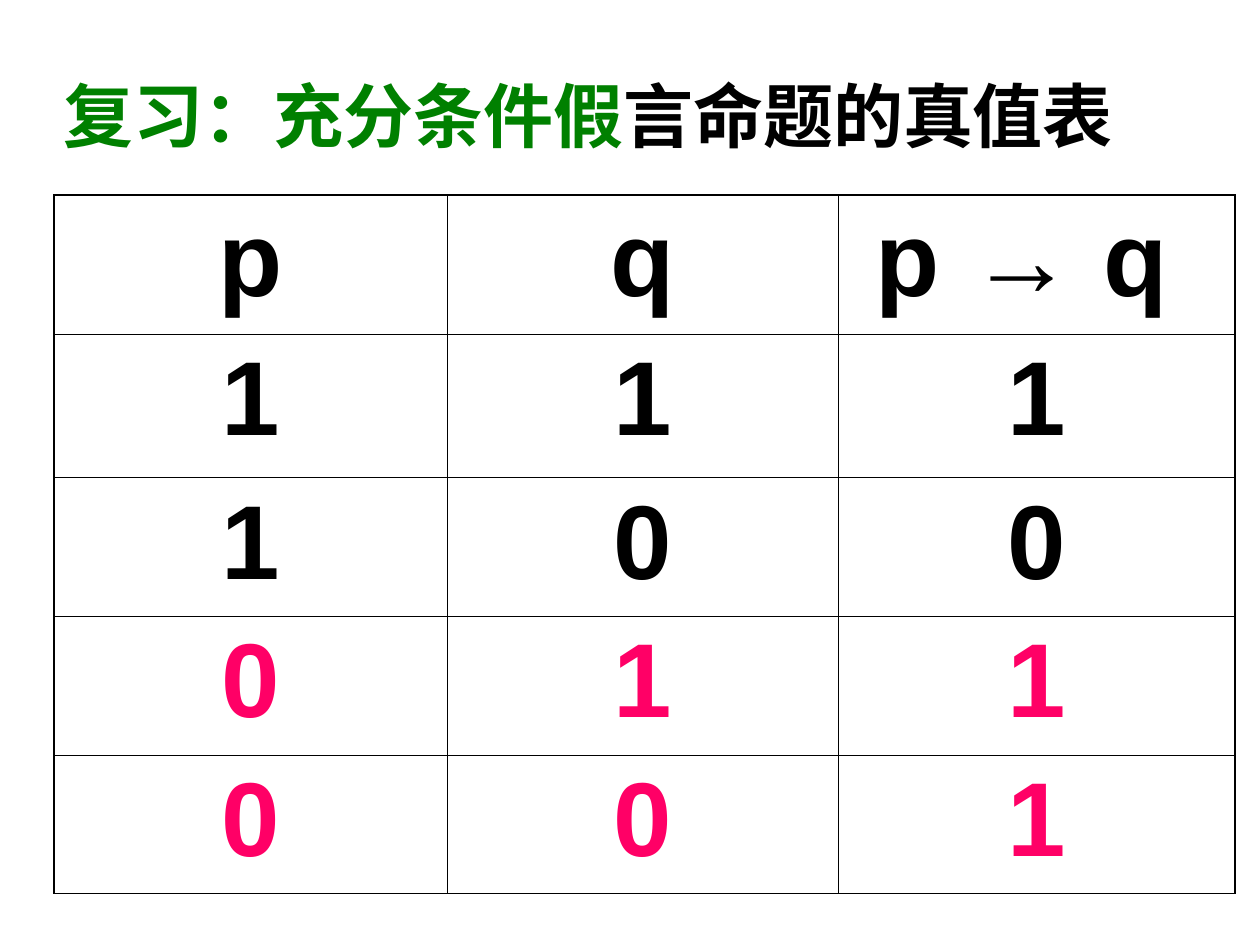
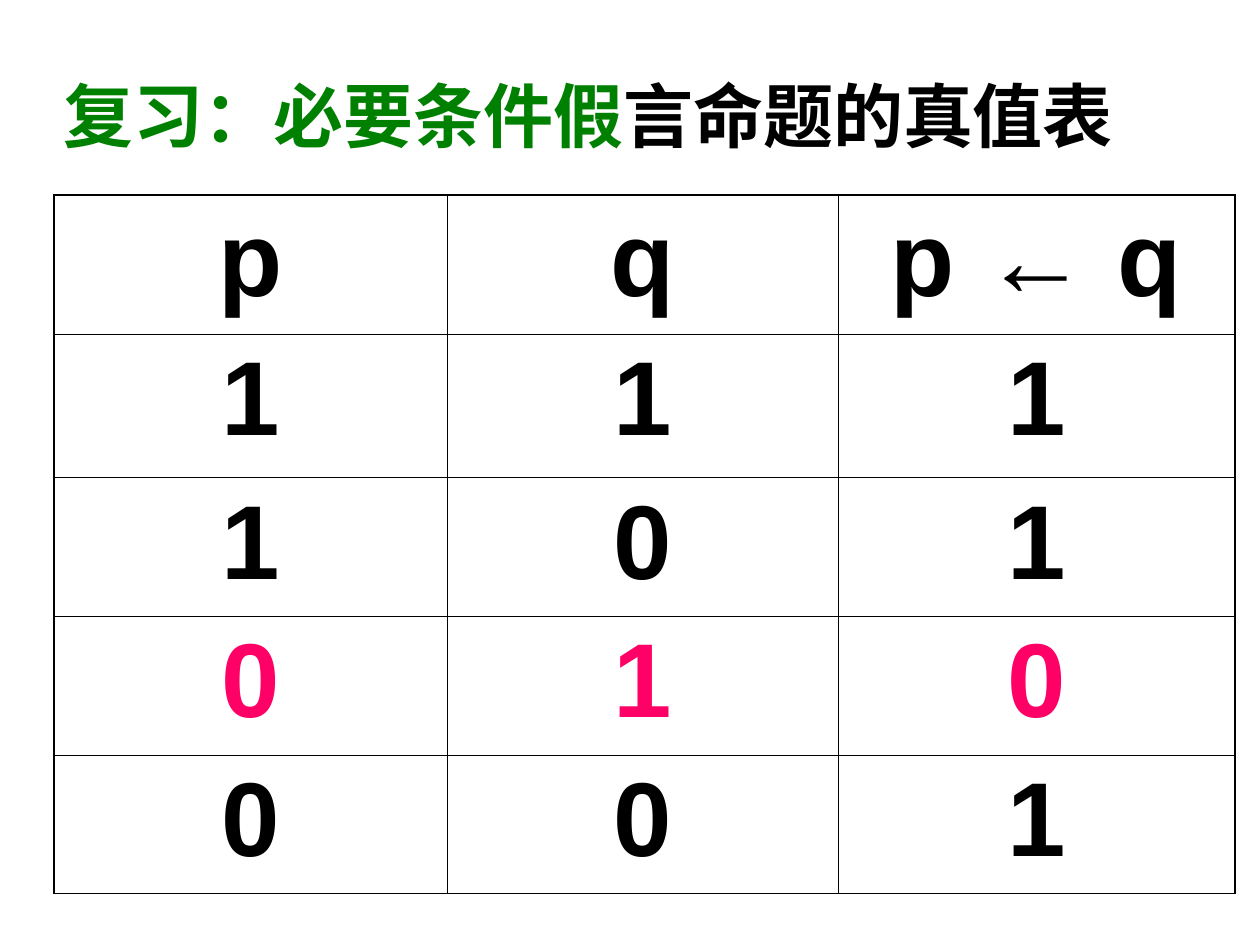
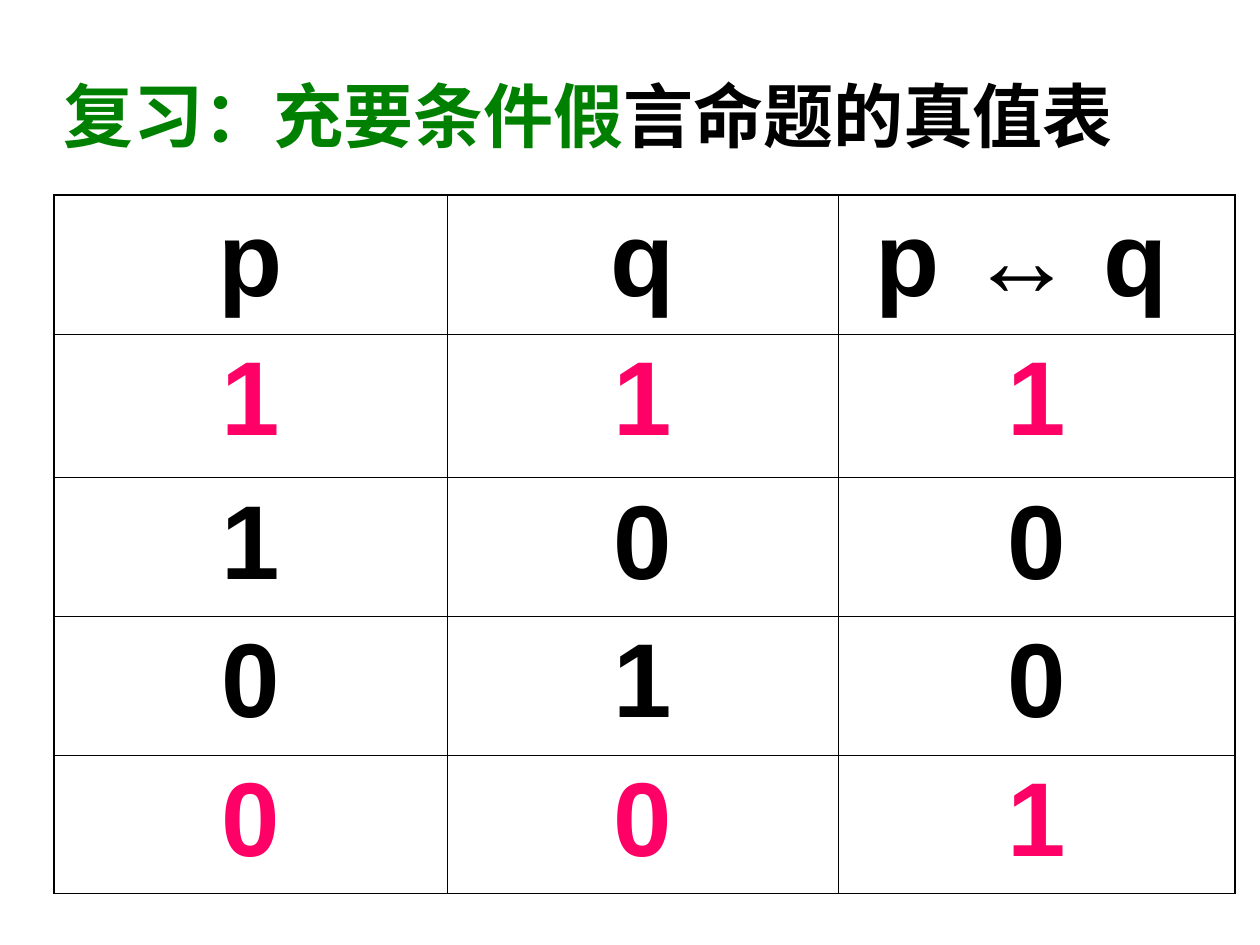
"""Build three review slides with truth tables of conditional propositions."""
from itertools import product

from lxml import etree
from pptx import Presentation
from pptx.dml.color import RGBColor
from pptx.enum.text import MSO_ANCHOR, PP_ALIGN
from pptx.oxml.ns import qn
from pptx.util import Inches, Pt

CENTER = PP_ALIGN.CENTER
MIDDLE = MSO_ANCHOR.MIDDLE
TOP = MSO_ANCHOR.TOP

WIDTH, HEIGHT = Inches(10), Inches(7.5)
GRID_COLUMN, GRID_ROW = WIDTH / 10, HEIGHT / 7.5
TITLE_PLACE = (0, 0.28, 9.34, 1.25)
TABLE_CORNER = (0.43, 1.55)
TABLE_COLUMNS = (3.12, 3.1, 3.15)
TABLE_ROWS = (1.1, 1.14, 1.1, 1.1, 1.1)

FONT = "Arial"
BLACK, GREEN, PINK = "000000", "008000", "FF0066"
OUTER_LINE, INNER_LINE = Pt(1.08), Pt(0.45)

TITLE_END = "言命题的真值表"
REVIEWS = (
    ("复习：充分条件假", "p → q ", "1011", (3, 4)),
    ("复习：必要条件假", "p ← q", "1101", (3,)),
    ("复习：充要条件假", "p ↔ q ", "1001", (1, 4)),
)


def color(value):
    """Turn a hex string into a colour."""
    return RGBColor.from_string(value)


def across(columns):
    """Return the length of a number of grid columns."""
    return round(columns * GRID_COLUMN)


def down(rows):
    """Return the length of a number of grid rows."""
    return round(rows * GRID_ROW)


def style_span(span, size, value):
    """Give a run the bold deck font in a size and colour."""
    span.font.name = FONT
    span.font.size = Pt(size)
    span.font.bold = True
    span.font.color.rgb = color(value)


def add_title(page, opening):
    """Add the centred two-colour title."""
    left, top, width, height = TITLE_PLACE
    box = page.shapes.add_textbox(across(left), down(top), across(width), down(height))
    box.text_frame.word_wrap = True
    box.text_frame.vertical_anchor = MIDDLE
    para = box.text_frame.paragraphs[0]
    para.alignment = CENTER
    for text, value in ((opening, GREEN), (TITLE_END, BLACK)):
        span = para.add_run()
        span.text = text
        style_span(span, 40, value)


def set_borders(cell, widths):
    """Draw the left, right, top and bottom borders of a cell."""
    properties = cell._tc.get_or_add_tcPr()
    for index, (side, width) in enumerate(zip("LRTB", widths)):
        line = etree.Element(qn(f"a:ln{side}"), w=str(int(width)))
        fill = etree.SubElement(line, qn("a:solidFill"))
        etree.SubElement(fill, qn("a:srgbClr"), val=BLACK)
        properties.insert(index, line)


def fill_cell(cell, text, value):
    """Write one centred entry into an unfilled cell."""
    cell.fill.background()
    cell.vertical_anchor = TOP
    para = cell.text_frame.paragraphs[0]
    para.text = text
    para.alignment = CENTER
    para.space_before = Pt(15)
    style_span(para.runs[0], 60, value)


def add_truth_table(page, formula, results, highlighted):
    """Add the truth table of a formula with some rows highlighted."""
    inputs = product("10", repeat=2)
    entries = [("p", "q", formula)]
    entries += [(*pair, result) for pair, result in zip(inputs, results)]
    left, top = TABLE_CORNER
    table = page.shapes.add_table(
        len(TABLE_ROWS), len(TABLE_COLUMNS), across(left), down(top),
        across(sum(TABLE_COLUMNS)), down(sum(TABLE_ROWS))).table
    table.first_row = table.horz_banding = False
    for column, width in zip(table.columns, TABLE_COLUMNS):
        column.width = across(width)
    for row, height in zip(table.rows, TABLE_ROWS):
        row.height = down(height)
    last_row, last_column = len(TABLE_ROWS) - 1, len(TABLE_COLUMNS) - 1
    for row, texts in enumerate(entries):
        value = PINK if row in highlighted else BLACK
        for column, text in enumerate(texts):
            cell = table.cell(row, column)
            fill_cell(cell, text, value)
            edges = (column == 0, column == last_column, row == 0, row == last_row)
            set_borders(cell, [OUTER_LINE if edge else INNER_LINE for edge in edges])


def main():
    """Build and save the deck."""
    deck = Presentation()
    deck.slide_width, deck.slide_height = WIDTH, HEIGHT
    for opening, formula, results, highlighted in REVIEWS:
        page = deck.slides.add_slide(deck.slide_layouts[6])
        add_title(page, opening)
        add_truth_table(page, formula, results, highlighted)
    deck.save("out.pptx")


if __name__ == "__main__":
    main()
